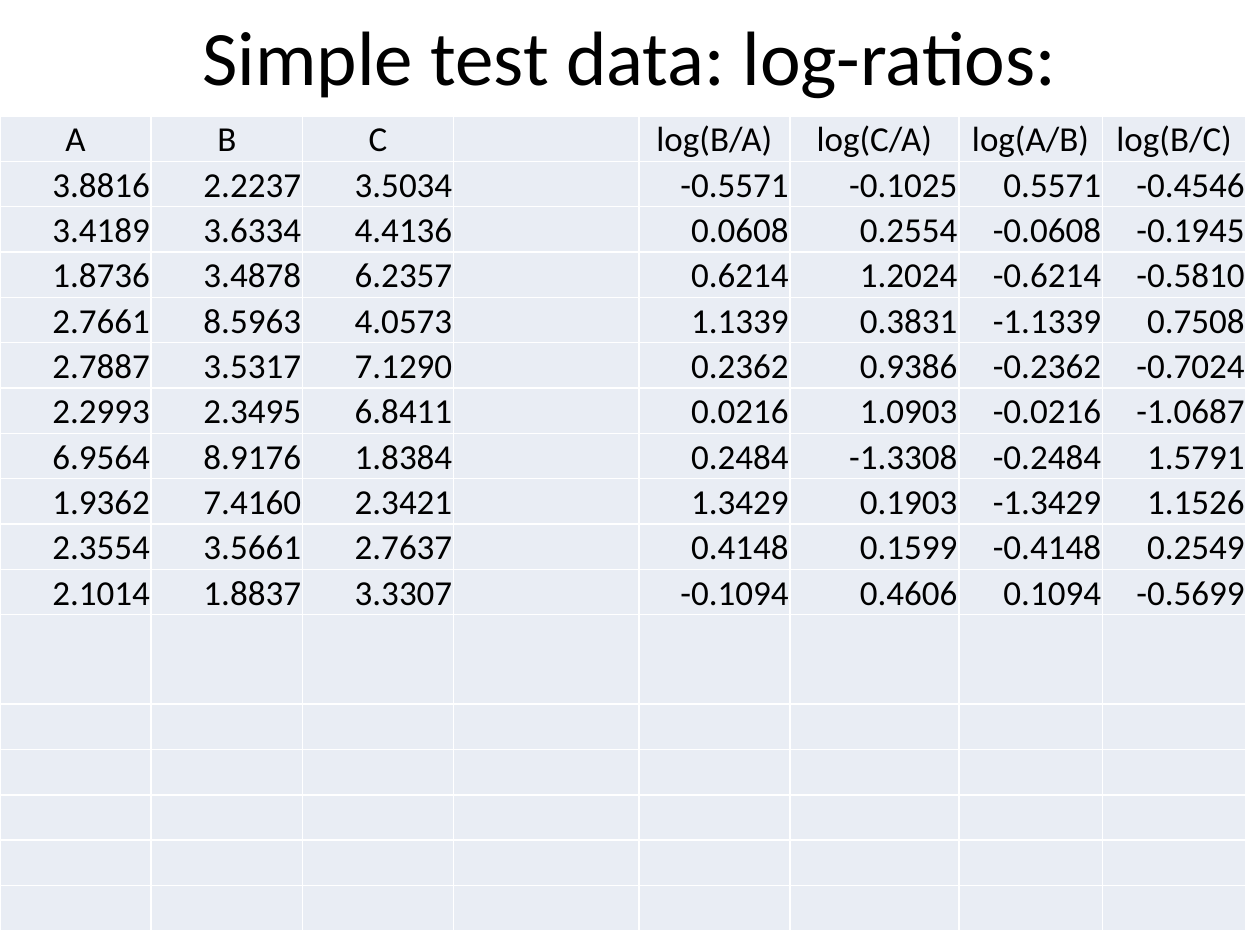
from lxml.etree import SubElement
from pptx import Presentation
from pptx.dml.color import RGBColor
from pptx.enum.text import MSO_ANCHOR, PP_ALIGN
from pptx.oxml.ns import qn
from pptx.util import Inches, Pt

BLACK = RGBColor(0x00, 0x00, 0x00)
WHITE = RGBColor(0xFF, 0xFF, 0xFF)
PALE = RGBColor(0xE9, 0xED, 0xF4)
FONT = "Calibri"

HEADS = ["A", "B", "C", "", "log(B/A)", "log(C/A)", "log(A/B)", "log(B/C)"]
PARTS = [
    ("3.8816", "2.2237", "3.5034"),
    ("3.4189", "3.6334", "4.4136"),
    ("1.8736", "3.4878", "6.2357"),
    ("2.7661", "8.5963", "4.0573"),
    ("2.7887", "3.5317", "7.1290"),
    ("2.2993", "2.3495", "6.8411"),
    ("6.9564", "8.9176", "1.8384"),
    ("1.9362", "7.4160", "2.3421"),
    ("2.3554", "3.5661", "2.7637"),
    ("2.1014", "1.8837", "3.3307"),
]
LOGS = [
    ("-0.5571", "-0.1025", "0.5571", "-0.4546"),
    ("0.0608", "0.2554", "-0.0608", "-0.1945"),
    ("0.6214", "1.2024", "-0.6214", "-0.5810"),
    ("1.1339", "0.3831", "-1.1339", "0.7508"),
    ("0.2362", "0.9386", "-0.2362", "-0.7024"),
    ("0.0216", "1.0903", "-0.0216", "-1.0687"),
    ("0.2484", "-1.3308", "-0.2484", "1.5791"),
    ("1.3429", "0.1903", "-1.3429", "1.1526"),
    ("0.4148", "0.1599", "-0.4148", "0.2549"),
    ("-0.1094", "0.4606", "0.1094", "-0.5699"),
]
SPARE = 6
WIDTHS = [1.2, 1.2, 1.2, 1.47, 1.2, 1.34, 1.14, 1.14]
ROW, TALL = 0.36, 0.71

CELL = {
    "margin_left": Inches(0.01),
    "margin_right": Inches(0.01),
    "margin_top": Inches(0.01),
    "margin_bottom": 0,
    "vertical_anchor": MSO_ANCHOR.BOTTOM,
}


def assign(item, values):
    for name, value in values.items():
        setattr(item, name, value)


def write(frame, text, size, align):
    part = frame.paragraphs[0]
    part.alignment = align
    run = part.add_run()
    run.text = text
    assign(run.font, {"name": FONT, "size": Pt(size)})
    run.font.color.rgb = BLACK


def edge(cell):
    """Draw a thin white line on all four sides of the cell."""
    props = cell._tc.get_or_add_tcPr()
    for side in ("a:lnL", "a:lnR", "a:lnT", "a:lnB"):
        line = SubElement(props, qn(side), w=str(Pt(1)))
        fill = SubElement(line, qn("a:solidFill"))
        SubElement(fill, qn("a:srgbClr"), val=str(WHITE))


def add_title(slide, box, text):
    title = slide.shapes.title
    assign(title, dict(zip(("left", "top", "width", "height"), box)))
    title.text_frame.vertical_anchor = MSO_ANCHOR.MIDDLE
    write(title.text_frame, text, 44, PP_ALIGN.CENTER)


def add_data(slide, box):
    """Place the heads, the values and the spare rows in one table."""
    values = [[*parts, "", *logs] for parts, logs in zip(PARTS, LOGS)]
    blank = [[""] * len(HEADS)] * SPARE
    rows = [HEADS, *values, *blank]
    table = slide.shapes.add_table(len(rows), len(HEADS), *box).table
    assign(table, {"first_row": False, "horz_banding": False})
    for col, width in zip(table.columns, WIDTHS):
        col.width = Inches(width)
    for row in table.rows:
        row.height = Inches(ROW)
    table.rows[len(values) + 1].height = Inches(TALL)
    for r, texts in enumerate(rows):
        align = PP_ALIGN.RIGHT if r else PP_ALIGN.CENTER
        for c, text in enumerate(texts):
            cell = table.cell(r, c)
            assign(cell, CELL)
            edge(cell)
            cell.fill.solid()
            cell.fill.fore_color.rgb = PALE
            if text:
                write(cell.text_frame, text, 20, align)


def main():
    deck = Presentation()
    assign(deck, {"slide_width": Inches(10), "slide_height": Inches(7.5)})
    slide = deck.slides.add_slide(deck.slide_layouts[5])
    add_title(slide, (Inches(0.5), Inches(-0.19), Inches(9), Inches(1.25)),
              "Simple test data: log-ratios:")
    add_data(slide, (0, Inches(0.92), Inches(sum(WIDTHS)), Inches(6.46)))
    deck.save("out.pptx")


if __name__ == "__main__":
    main()
